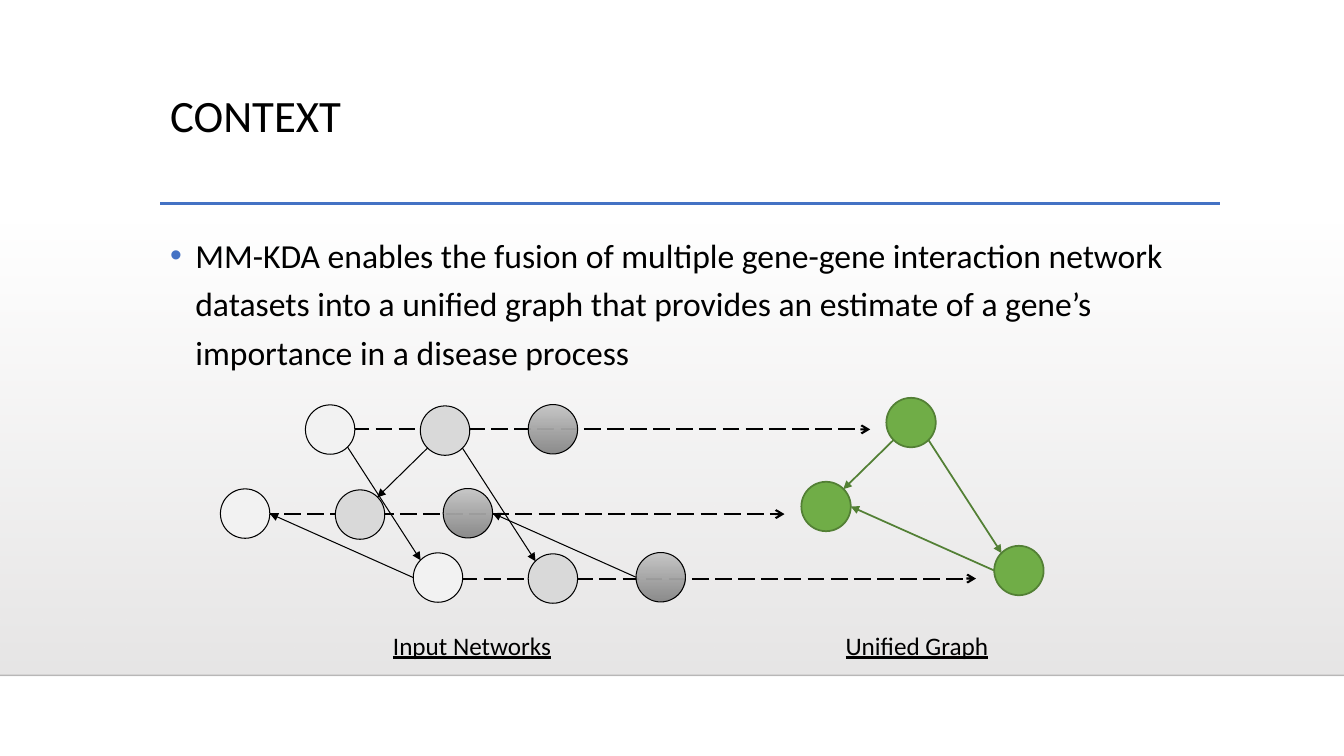
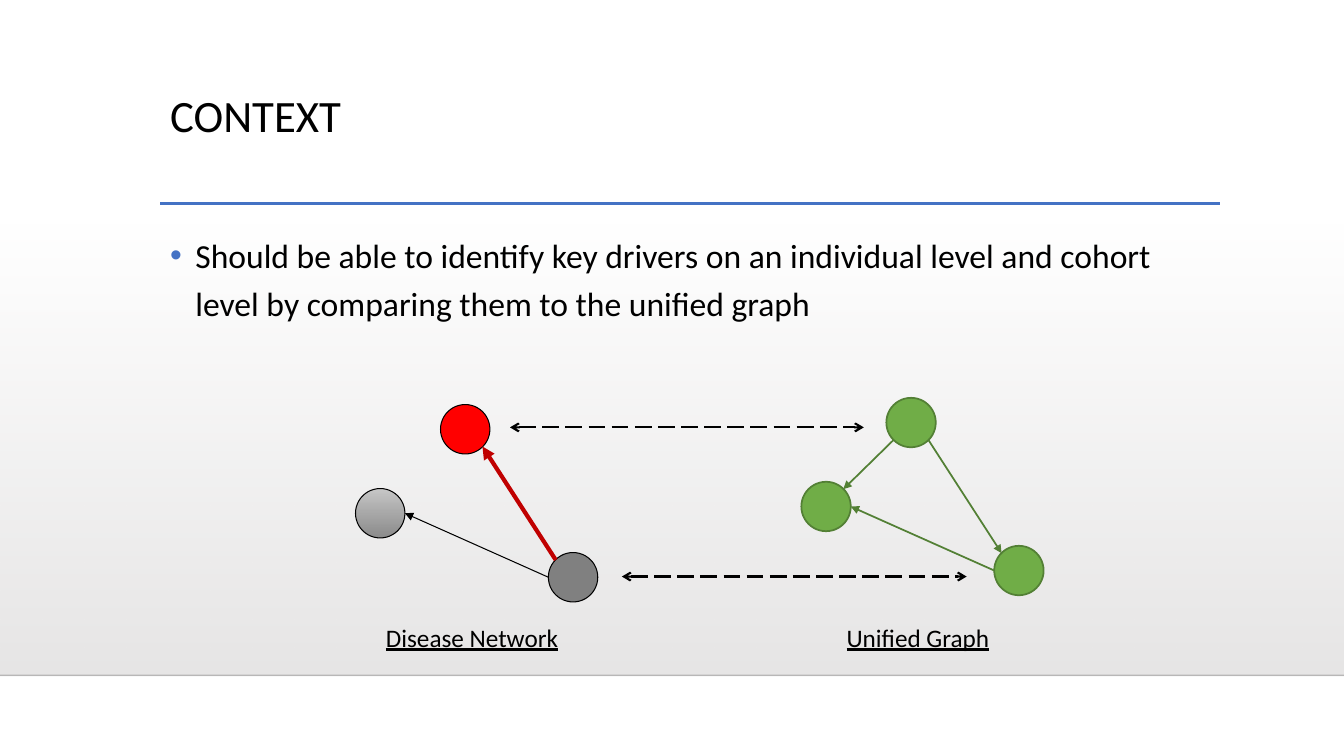
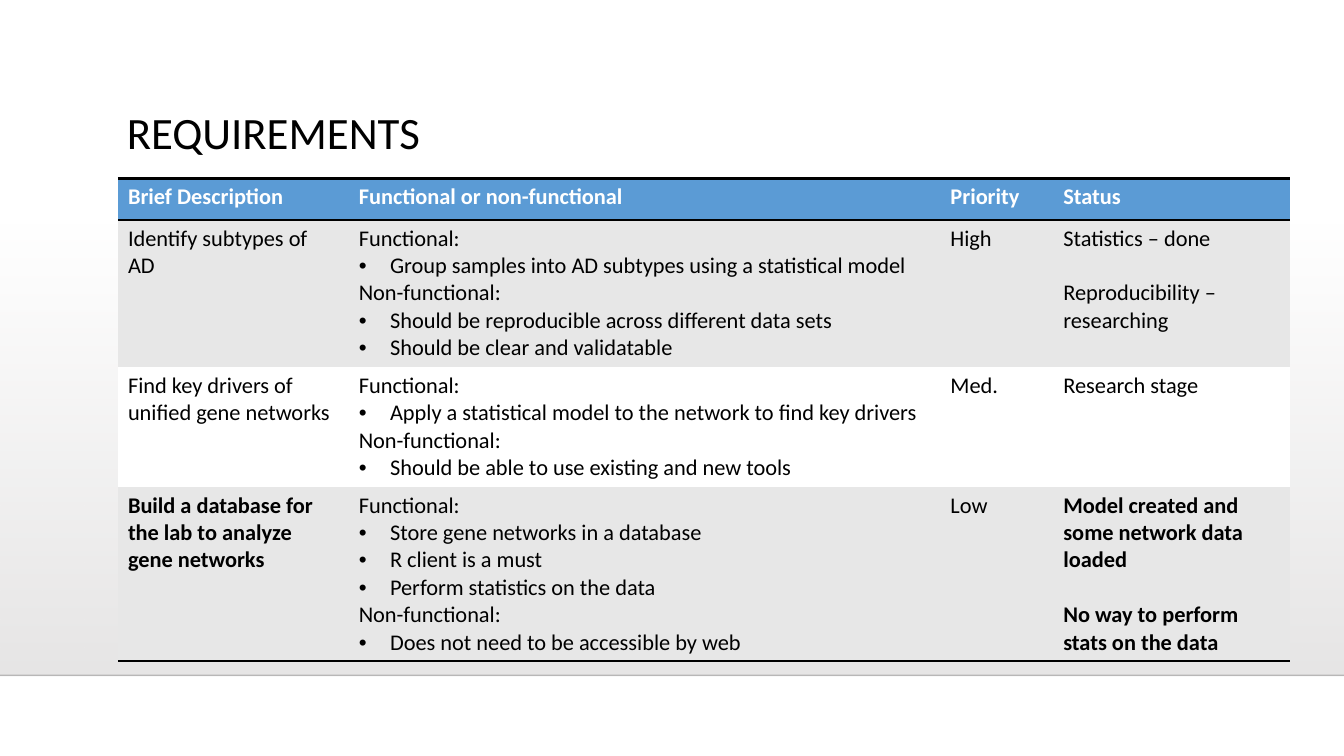
import dataclasses

import lxml.etree
import pptx
import pptx.dml.color
import pptx.enum.dml
import pptx.enum.shapes
import pptx.enum.text
import pptx.oxml.ns
import pptx.util

qn = pptx.oxml.ns.qn
SubElement = lxml.etree.SubElement
Pt = pptx.util.Pt
rgb = pptx.dml.color.RGBColor.from_string


@dataclasses.dataclass(frozen=True)
class Theme:
    font: str = "Calibri"
    title_size: int = 32
    body_size: int = 24
    caption_size: int = 18
    table_size: int = 16
    ink: str = "000000"
    paper: str = "FFFFFF"
    accent: str = "4472C4"
    band: str = "E7E6E6"
    header: str = "5B9BD5"
    stripe: str = "E7E7E7"
    white_node: str = "F2F2F2"
    light_node: str = "D9D9D9"
    grey_node: str = "808080"
    shaded_top: str = "C8C8C8"
    shaded_bottom: str = "848484"
    unified: str = "70AD47"
    unified_edge: str = "538035"
    diseased: str = "FF0000"
    driver: str = "C00000"


theme = Theme()
COLUMNS, ROWS = 80, 45
CELL = pptx.util.Inches(7.5) // ROWS


def cells(*counts):
    """Turn counts of grid cells into lengths."""
    return [round(count * CELL) for count in counts]


def draw_line(slide, start, end, color, width, head=None, tail=None, dash=None):
    line = slide.shapes.add_connector(
        pptx.enum.shapes.MSO_CONNECTOR.STRAIGHT, *cells(*start, *end))
    line.line.color.rgb = rgb(color)
    line.line.width = Pt(width)
    if dash:
        line.line.dash_style = dash
    outline = line.element.spPr.find(qn("a:ln"))
    for tag, arrow in (("a:headEnd", head), ("a:tailEnd", tail)):
        if arrow:
            SubElement(outline, qn(tag), type=arrow)
    SubElement(line.element.spPr, qn("a:effectLst"))
    return line


deck = pptx.Presentation()
deck.slide_width, deck.slide_height = cells(COLUMNS, ROWS)
blank = deck.slide_layouts[6]
fusion, comparison, requirements = [deck.slides.add_slide(blank) for _ in range(3)]
gradients = []  # shape, colours, opacities in thousandths of a percent
bullets = []  # paragraph, indent in inches, colour

# Backdrop shared by every slide, kept on the layout
BAND_TOP, BAND_BOTTOM = 13.26, 40.2
band = fusion.shapes.add_shape(
    pptx.enum.shapes.MSO_SHAPE.RECTANGLE, *cells(0, BAND_TOP, COLUMNS, BAND_BOTTOM - BAND_TOP))
band.line.fill.background()
band.shadow.inherit = False
gradients.append((band, (theme.band, theme.band), (0, 100000)))
floor = draw_line(fusion, (0, BAND_BOTTOM), (COLUMNS, BAND_BOTTOM), theme.ink, 1)
SubElement(floor.element.xpath(".//a:ln//a:srgbClr")[0], qn("a:alpha"), val="20000")
title_rule = draw_line(fusion, (9.54, 12.12), (72.6, 12.12), theme.accent, 2.5)
for number, part in enumerate((band, floor, title_rule), start=100):
    part.element.xpath("./*/p:cNvPr")[0].set("id", str(number))
    blank.shapes.element.append(part.element)

# Dashed links between the networks: start, end, height
links = [
    (fusion, 19.6, 51.8, 25.56, None),
    (fusion, 26.04, 58.1, 34.44, None),
    (fusion, 14.16, 46.7, 30.6, None),
    (comparison, 30.36, 51.42, 25.44, "arrow"),
    (comparison, 37.02, 57.54, 34.32, "arrow"),
]
for slide, left, right, height, head in links:
    draw_line(slide, (left, height), (right, height), theme.ink, 1.5, head, "arrow",
              pptx.enum.dml.MSO_LINE.LONG_DASH)

# Every network has the same three nodes, placed from its top node
NODE = 2.94
NODE_OFFSETS = {"top": (0, 0), "lower": (6.42, 8.81), "left": (-5.06, 5)}
# An edge runs from a point on one node to a point on another, as shares of the node
EDGES = {
    "top to lower": ("top", (0.85, 0.85), "lower", (0.15, 0.15)),
    "lower to left": ("lower", (0, 0.5), "left", (1, 0.5)),
    "top to left": ("top", (0.15, 0.85), "left", (0.85, 0.15)),
    "lower to top": ("lower", (0.15, 0.15), "top", (0.85, 0.85)),
}
SHADED = None
black, green, red = (theme.ink, 0.75), (theme.unified_edge, 1.25), (theme.driver, 3)
unified_edges = {"lower to left": green, "top to lower": green, "top to left": green}
networks = [
    (fusion, (18.18, 24.1), [theme.white_node] * 3, black,
     {"top to lower": black, "lower to left": black}),
    (fusion, (25.02, 24.16), [theme.light_node] * 3, black,
     {"top to lower": black, "top to left": black}),
    (fusion, (31.44, 24.08), [SHADED] * 3, black, {"lower to left": black}),
    (fusion, (52.76, 23.68), [theme.unified] * 3, green, unified_edges),
    (comparison, (26.22, 24.08), [theme.diseased, theme.grey_node, SHADED], black,
     {"lower to left": black, "lower to top": red}),
    (comparison, (52.76, 23.68), [theme.unified] * 3, green, unified_edges),
]
for slide, (x, y), fills, (outline, weight), edges in networks:
    for (dx, dy), fill in zip(NODE_OFFSETS.values(), fills):
        gene = slide.shapes.add_shape(
            pptx.enum.shapes.MSO_SHAPE.OVAL, *cells(x + dx, y + dy, NODE, NODE))
        gene.shadow.inherit = False
        gene.line.color.rgb = rgb(outline)
        gene.line.width = Pt(weight)
        if fill is SHADED:
            gradients.append((gene, (theme.shaded_top, theme.shaded_bottom), (100000, 92000)))
        else:
            gene.fill.solid()
            gene.fill.fore_color.rgb = rgb(fill)
    for edge, (color, width) in edges.items():
        source, leave, target, arrive = EDGES[edge]
        start, end = [
            (x + NODE_OFFSETS[node][0] + NODE * across, y + NODE_OFFSETS[node][1] + NODE * down)
            for node, (across, down) in ((source, leave), (target, arrive))]
        draw_line(slide, start, end, color, width, tail="triangle")

for shape, colors, opacities in gradients:
    shape.fill.gradient()
    shape.fill.gradient_angle = 270
    for stop, color in zip(shape.fill.gradient_stops, colors):
        stop.color.rgb = rgb(color)
    for color, opacity in zip(shape.element.xpath(".//a:gs/a:srgbClr"), opacities):
        SubElement(color, qn("a:alpha"), val=str(opacity))

# Titles, body text and captions
TITLE, BODY, CAPTION = (63, 6.9), (63, 22.6), (13.86, 2.4)
texts = [
    (fusion, "CONTEXT", (9.54, 5.28), TITLE),
    (comparison, "CONTEXT", (9.54, 5.28), TITLE),
    (requirements, "REQUIREMENTS", (6.96, 6.3), TITLE),
    (fusion, "MM-KDA enables the fusion of multiple gene-gene interaction network datasets into "
             "a unified graph that provides an estimate of a gene’s importance in a disease "
             "process", (9.54, 13.2), BODY),
    (comparison, "Should be able to identify key drivers on an individual level and cohort level "
                 "by comparing them to the unified graph", (9.54, 13.2), BODY),
    (fusion, "Input Networks", (22.8, 37.2), CAPTION),
    (fusion, "Unified Graph", (49.74, 37.2), CAPTION),
    (comparison, "Disease Network", (22.38, 36.72), CAPTION),
    (comparison, "Unified Graph", (49.8, 36.72), CAPTION),
]
sizes = {TITLE: theme.title_size, BODY: theme.body_size, CAPTION: theme.caption_size}
spacings = {TITLE: 0.9, BODY: 1.2, CAPTION: 1.0}
for slide, wording, place, extent in texts:
    frame = slide.shapes.add_textbox(*cells(*place, *extent)).text_frame
    frame.word_wrap = True
    frame.text = wording
    paragraph = frame.paragraphs[0]
    paragraph.line_spacing = spacings[extent]
    font = paragraph.runs[0].font
    font.name, font.size = theme.font, Pt(sizes[extent])
    font.color.rgb = rgb(theme.ink)
    font.underline = extent == CAPTION
    if extent == BODY:
        paragraph.space_before = Pt(10)
        bullets.append((paragraph, 0.25, theme.accent))

# Requirements table; a leading "•" marks a list item
requirement_rows = [
    ["Brief Description", "Functional or non-functional", "Priority", "Status"],
    ["Identify subtypes of AD",
     "Functional:\n•Group samples into AD subtypes using a statistical model\n"
     "Non-functional:\n•Should be reproducible across different data sets\n"
     "•Should be clear and validatable",
     "High", "Statistics – done\nReproducibility – researching"],
    ["Find key drivers of unified gene networks",
     "Functional:\n•Apply a statistical model to the network to find key drivers\n"
     "Non-functional:\n•Should be able to use existing and new tools",
     "Med.", "Research stage"],
    ["Build a database for the lab to analyze gene networks",
     "Functional:\n•Store gene networks in a database\n•R client is a must\n"
     "•Perform statistics on the data\nNon-functional:\n"
     "•Does not need to be accessible by web",
     "Low", "Model created and some network data loaded\nNo way to perform stats on the data"],
]
column_widths = cells(13.74, 35.22, 6.72, 14.1)
row_heights = cells(2.46, 8.76, 7.14, 10.38)
row_fills = [theme.header, theme.stripe, theme.paper, theme.stripe]
row_borders = [("a:lnT", "a:lnB"), (), (), ("a:lnB",)]
STATUS = 3
bold_cells = {(0, 0), (0, 1), (0, 2), (0, 3), (3, 0), (3, STATUS)}
NO_STYLE = "{2D5ABB26-0587-4C30-8999-92F81FD0307C}"

table_frame = requirements.shapes.add_table(
    4, 4, *cells(7.02, 10.62), sum(column_widths), sum(row_heights))
table_frame.element.xpath(".//a:tableStyleId")[0].text = NO_STYLE
table = table_frame.table
for column, width in zip(table.columns, column_widths):
    column.width = width
for row, height in zip(table.rows, row_heights):
    row.height = height
for r, entries in enumerate(requirement_rows):
    for c, entry in enumerate(entries):
        cell = table.cell(r, c)
        cell.text_frame.text = entry.replace("•", "")
        for position, (paragraph, wording) in enumerate(
                zip(cell.text_frame.paragraphs, entry.split("\n"))):
            font = paragraph.runs[0].font
            font.name, font.size = theme.font, Pt(theme.table_size)
            font.bold = (r, c) in bold_cells
            font.color.rgb = rgb(theme.paper if r == 0 else theme.ink)
            if wording.startswith("•"):
                bullets.append((paragraph, 0.31, theme.ink))
            if c == STATUS and position > 0:
                paragraph.space_before = Pt(19.5)
        properties = cell._tc.get_or_add_tcPr()
        for side in row_borders[r]:
            border = SubElement(properties, qn(side), w=str(Pt(2)))
            SubElement(SubElement(border, qn("a:solidFill")), qn("a:srgbClr"), val=theme.ink)
        cell.fill.solid()
        cell.fill.fore_color.rgb = rgb(row_fills[r])

for paragraph, indent, color in bullets:
    properties = paragraph._p.get_or_add_pPr()
    hang = pptx.util.Inches(indent)
    properties.set("marL", str(hang))
    properties.set("indent", str(-hang))
    SubElement(SubElement(properties, qn("a:buClr")), qn("a:srgbClr"), val=color)
    SubElement(properties, qn("a:buFont"), typeface="Arial")
    SubElement(properties, qn("a:buChar"), char="•")

deck.save("out.pptx")
